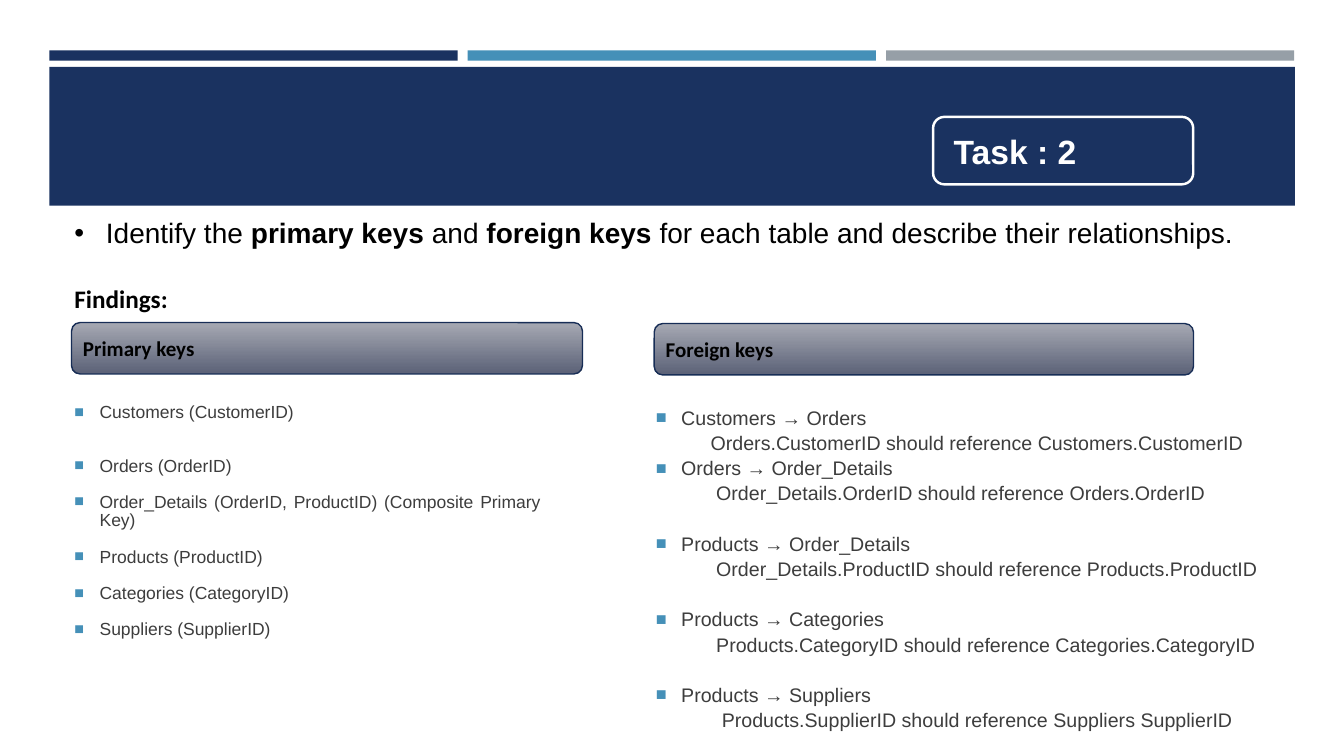
from dataclasses import dataclass
from lxml import etree
from pptx import Presentation
from pptx.dml.color import RGBColor
from pptx.enum.shapes import MSO_SHAPE
from pptx.enum.text import MSO_ANCHOR, PP_ALIGN
from pptx.oxml.ns import qn
from pptx.shapes.autoshape import Shape
from pptx.slide import Slide
from pptx.text.text import TextFrame, _Paragraph
from pptx.util import Pt

RECTANGLE, ROUNDED = MSO_SHAPE.RECTANGLE, MSO_SHAPE.ROUNDED_RECTANGLE
TOP, MIDDLE = MSO_ANCHOR.TOP, MSO_ANCHOR.MIDDLE
LEFT, JUSTIFY = PP_ALIGN.LEFT, PP_ALIGN.JUSTIFY
NAVY, BLUE, GREY = "1A3260", "4590B8", "969FA7"
BLACK, WHITE, TEXT_GREY, HEADER_LINE = "000000", "FFFFFF", "3D3D3D", "172D56"
HEADER_TOP, HEADER_BOTTOM = "A6A9B3", "5B6177"


@dataclass(frozen=True)
class Area:
    left: float
    top: float
    width: float
    height: float


@dataclass(frozen=True)
class Style:
    size: float
    color: str
    font: str = "Arial"
    bold: bool = False


@dataclass(frozen=True)
class Bullet:
    mark: str
    color: str
    percent: int


@dataclass(frozen=True)
class Line:
    text: str
    before: float = 0
    indent: float = 18
    bulleted: bool = True


@dataclass(frozen=True)
class KeyColumn:
    title: str
    header: Area
    body: Area
    size: float
    spacing: float
    lines: list[Line]


SQUARE = Bullet("■", BLUE, 92)
DOT = Bullet("•", BLACK, 100)

PRIMARY = KeyColumn(
    "Primary keys", Area(51.1, 230.4, 365, 36.7), Area(46.1, 285.1, 347, 186), 12.5, 13,
    [
        Line("Customers (CustomerID)"),
        Line("Orders (OrderID)", 25),
        Line("Order_Details (OrderID, ProductID) (Composite Primary Key)", 13),
        Line("Products (ProductID)", 13),
        Line("Categories (CategoryID)", 13),
        Line("Suppliers (SupplierID)", 13),
    ],
)


def detail(text: str, indent: float) -> Line:
    return Line(text, 0, indent, False)


FOREIGN = KeyColumn(
    "Foreign keys", Area(467.3, 231.1, 385.2, 36.7), Area(461.5, 285.1, 471, 244), 14, 18,
    [
        Line("Customers → Orders"),
        detail("Orders.CustomerID should reference Customers.CustomerID", 39),
        Line("Orders → Order_Details"),
        detail("Order_Details.OrderID should reference Orders.OrderID", 43),
        Line("Products → Order_Details", 18),
        detail("Order_Details.ProductID should reference Products.ProductID", 43),
        Line("Products → Categories", 18),
        detail("Products.CategoryID should reference Categories.CategoryID", 43),
        Line("Products → Suppliers", 18),
        detail("Products.SupplierID should reference Suppliers SupplierID", 47),
    ],
)


def rgb(color: str) -> RGBColor:
    return RGBColor.from_string(color)


def add_panel(page: Slide, kind: MSO_SHAPE, area: Area, fill: str) -> Shape:
    panel = page.shapes.add_shape(
        kind, Pt(area.left), Pt(area.top), Pt(area.width), Pt(area.height))
    panel.shadow.inherit = False
    panel.fill.solid()
    panel.fill.fore_color.rgb = rgb(fill)
    panel.line.fill.background()
    return panel


def set_outline(panel: Shape, color: str, width: float) -> None:
    panel.line.color.rgb = rgb(color)
    panel.line.width = Pt(width)


def add_text_box(page: Slide, area: Area) -> TextFrame:
    box = page.shapes.add_textbox(
        Pt(area.left), Pt(area.top), Pt(area.width), Pt(area.height))
    frame = box.text_frame
    frame.word_wrap = True
    frame.vertical_anchor = TOP
    return frame


def add_span(para: _Paragraph, text: str, style: Style) -> None:
    span = para.add_run()
    span.text = text
    span.font.name = style.font
    span.font.size = Pt(style.size)
    span.font.bold = style.bold
    span.font.color.rgb = rgb(style.color)


def set_indent(para: _Paragraph, indent: float, bullet: Bullet | None = None) -> None:
    """Indent a paragraph, hanging its bullet in the margin if it has one."""
    properties = para._p.get_or_add_pPr()
    properties.set("marL", str(Pt(indent)))
    if bullet is None:
        return
    properties.set("indent", str(-Pt(indent)))
    color = etree.SubElement(properties, qn("a:buClr"))
    etree.SubElement(color, qn("a:srgbClr"), val=bullet.color)
    etree.SubElement(properties, qn("a:buSzPct"), val=str(bullet.percent * 1000))
    etree.SubElement(properties, qn("a:buFont"), typeface="Arial")
    etree.SubElement(properties, qn("a:buChar"), char=bullet.mark)


def add_label(panel: Shape, text: str, style: Style, inset: float) -> None:
    frame = panel.text_frame
    frame.word_wrap = True
    frame.vertical_anchor = MIDDLE
    frame.margin_left = Pt(inset)
    para = frame.paragraphs[0]
    para.alignment = LEFT
    add_span(para, text, style)


def add_banner(page: Slide) -> None:
    for index, color in enumerate((NAVY, BLUE, GREY)):
        add_panel(page, RECTANGLE, Area(35.3 + index * 298.8, 36, 291.6, 7.4), color)
    add_panel(page, RECTANGLE, Area(35.3, 47.8, 889.6, 99.1), NAVY)
    task = add_panel(page, ROUNDED, Area(666.5, 83.5, 185.8, 48.2), NAVY)
    set_outline(task, WHITE, 1.75)
    add_label(task, "Task : 2", Style(24, WHITE, bold=True), 12.4)


def add_question(page: Slide) -> None:
    frame = add_text_box(page, Area(46.1, 150.5, 878.4, 77.8))
    question = frame.paragraphs[0]
    set_indent(question, 22.5, DOT)
    parts = ("Identify the ", "primary keys", " and ", "foreign keys",
             " for each table and describe their relationships.")
    for index, part in enumerate(parts):
        add_span(question, part, Style(20, BLACK, bold=index % 2 == 1))
    findings = frame.add_paragraph()
    findings.space_before = Pt(24)
    add_span(findings, "Findings:", Style(18, BLACK, "Calibri", True))


def add_key_column(page: Slide, column: KeyColumn) -> None:
    header = add_panel(page, ROUNDED, column.header, HEADER_TOP)
    header.fill.gradient()
    header.fill.gradient_angle = 270
    for stop, color in zip(header.fill.gradient_stops, (HEADER_TOP, HEADER_BOTTOM)):
        stop.color.rgb = rgb(color)
    set_outline(header, HEADER_LINE, 1)
    add_label(header, column.title, Style(15, BLACK, "Calibri", True), 6.4)

    frame = add_text_box(page, column.body)
    for index, line in enumerate(column.lines):
        para = frame.add_paragraph() if index else frame.paragraphs[0]
        para.alignment = JUSTIFY
        para.line_spacing = Pt(column.spacing)
        if line.before:
            para.space_before = Pt(line.before)
        set_indent(para, line.indent, SQUARE if line.bulleted else None)
        add_span(para, line.text, Style(column.size, TEXT_GREY))


def main() -> None:
    deck = Presentation()
    deck.slide_width, deck.slide_height = Pt(960), Pt(540)
    page = deck.slides.add_slide(deck.slide_layouts[6])
    add_banner(page)
    add_question(page)
    for column in (PRIMARY, FOREIGN):
        add_key_column(page, column)
    deck.save("out.pptx")


if __name__ == "__main__":
    main()
